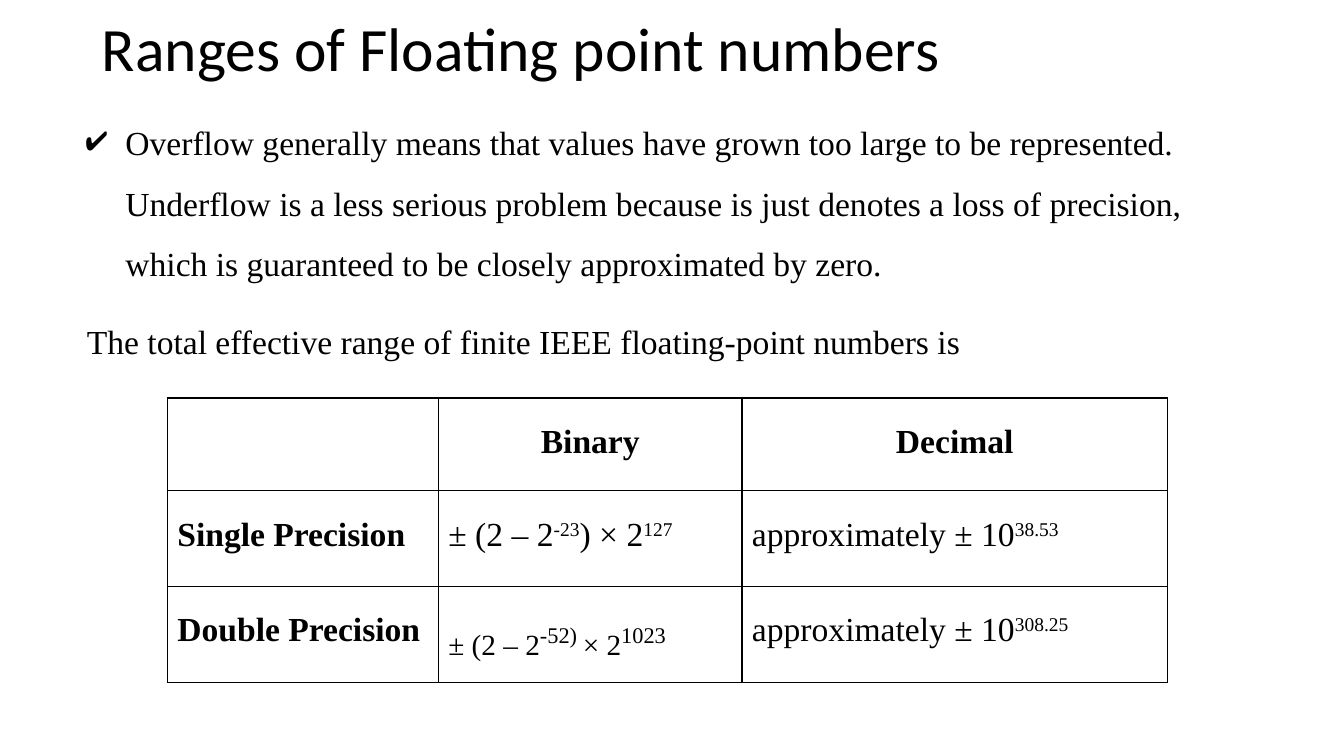
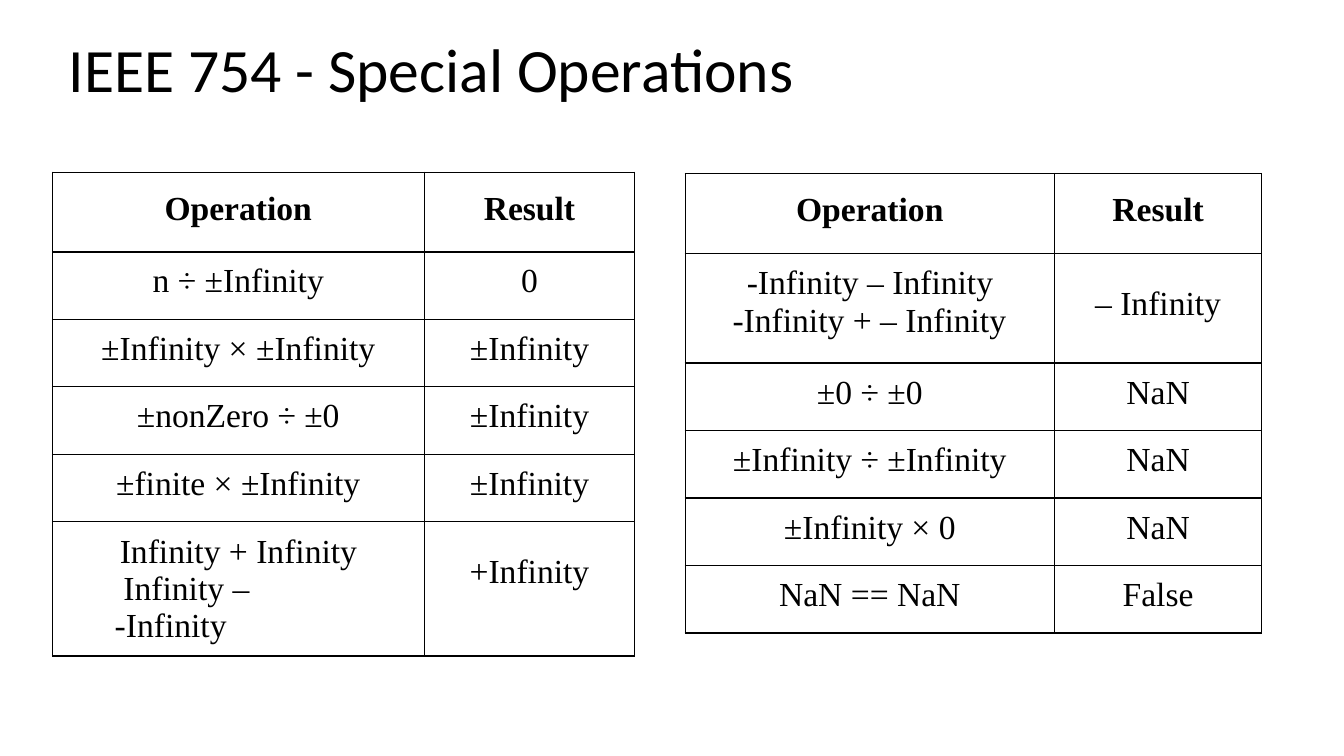
from lxml import etree
from pptx import Presentation
from pptx.dml.color import RGBColor
from pptx.enum.text import MSO_ANCHOR, PP_ALIGN
from pptx.oxml.ns import qn
from pptx.util import Cm, Pt

LEFT, CENTER = PP_ALIGN.LEFT, PP_ALIGN.CENTER
MIDDLE, TOP = MSO_ANCHOR.MIDDLE, MSO_ANCHOR.TOP
INK = {"text": "000000", "line": "000000", "paper": "FFFFFF"}
HEAD, BODY = "Calibri", "Times New Roman"
PLAIN = ((24, 0), (24, 30))
LOW = ((36, -25), (16, 0))


def style(run, size, face=BODY, bold=False, base=0):
    font = run.font
    font.size, font.name, font.bold = Pt(size), face, bold
    font.color.rgb = RGBColor.from_string(INK["text"])
    if base:
        run._r.get_or_add_rPr().set("baseline", str(base * 1000))


def indent(para, left, first=0):
    props = para._p.get_or_add_pPr()
    props.set("marL", str(Cm(left)))
    props.set("indent", str(Cm(first)))


def bullet(para, char):
    props = para._p.get_or_add_pPr()
    tint = etree.SubElement(props, qn("a:buClr"))
    etree.SubElement(tint, qn("a:srgbClr")).set("val", INK["text"])
    etree.SubElement(props, qn("a:buChar")).set("char", char)


def add_box(slide, box, anchor):
    frame = slide.shapes.add_textbox(*map(Cm, box)).text_frame
    frame.word_wrap = True
    frame.vertical_anchor = anchor
    frame.margin_left = frame.margin_right = frame.margin_bottom = 0
    frame.margin_top = Cm(0.03)
    return frame


def add_title(slide, box, text):
    frame = add_box(slide, box, MIDDLE)
    frame.text = text
    para = frame.paragraphs[0]
    indent(para, 0.03)
    style(para.runs[0], 44, HEAD)


def add_notes(slide, box, point, lead):
    frame = add_box(slide, box, TOP)
    frame.text = point + "\n" + lead
    first, last = frame.paragraphs
    first.line_spacing = 1.5
    indent(first, 1.0, -1.0)
    bullet(first, "✔")
    last.space_before = Pt(27)
    indent(last, 0.03)
    for para in frame.paragraphs:
        style(para.runs[0], 24)


def add_edges(cell):
    props = cell._tc.get_or_add_tcPr()
    for side in "LRTB":
        line = etree.SubElement(props, qn("a:ln" + side))
        line.set("w", str(Pt(1)))
        fill = etree.SubElement(line, qn("a:solidFill"))
        etree.SubElement(fill, qn("a:srgbClr")).set("val", INK["line"])


def add_grid(slide, left, top, cols, rows, count):
    size = (Cm(sum(cols)), Cm(sum(rows)))
    grid = slide.shapes.add_table(count, len(cols), Cm(left), Cm(top), *size).table
    grid.first_row = grid.horz_banding = False
    for col, width in zip(grid.columns, cols):
        col.width = Cm(width)
    for row, height in zip(grid.rows, rows):
        row.height = Cm(height)
    for cell in grid.iter_cells():
        cell.margin_left = cell.margin_right = cell.margin_bottom = 0
        add_edges(cell)
        cell.fill.solid()
        cell.fill.fore_color.rgb = RGBColor.from_string(INK["paper"])
    return grid


def fill_cell(cell, text, top, bold=False, align=CENTER, insets=None, kinds=PLAIN):
    cell.margin_top = Cm(top)
    frame = cell.text_frame
    lines = text.split("\n")
    for num, line in enumerate(lines):
        para = frame.add_paragraph() if num else frame.paragraphs[0]
        para.alignment = LEFT if insets else align
        if insets:
            indent(para, insets[num])
        for part, piece in enumerate(line.split("|")):
            if piece:
                run = para.add_run()
                run.text = piece
                size, base = kinds[part % 2]
                style(run, size, bold=bold, base=base)


def add_ranges(slide, left, top):
    rows = [
        ("", "Binary", "Decimal"),
        ("Single Precision", "± (2 – 2|-23|) × 2|127", "approximately ± 10|38.53"),
        ("Double Precision", "± (2 – 2|-52) |× 2|1023", "approximately ± 10|308.25"),
    ]
    grid = add_grid(slide, left, top, (6.83, 7.65, 10.72), (2.34, 2.41, 2.41), len(rows))
    for r, row in enumerate(rows):
        for c, text in enumerate(row):
            low = (r, c) == (2, 1)
            fill_cell(grid.cell(r, c), text, 0.3 if low else 0.64,
                      bold=r == 0 or c == 0, insets=(0.25,) if r else None,
                      kinds=LOW if low else PLAIN)


def add_results(slide, left, top, cols, pairs, tall, height, insets):
    rows = [("Operation", "Result")] + pairs
    sizes = [2.01] + [1.7] * len(pairs)
    sizes[tall] = height
    grid = add_grid(slide, left, top, cols, sizes, len(rows))
    for r, row in enumerate(rows):
        pads = (0.46, 0.46) if r == 0 else (0.3, 0.81) if r == tall else (0.28, 0.28)
        for c, text in enumerate(row):
            fill_cell(grid.cell(r, c), text, pads[c], bold=r == 0,
                      insets=insets if (r, c) == (tall, 0) else None)


def range_slide(slide):
    add_title(slide, (2.54, 0.2, 22.61, 1.93), "Ranges of Floating point numbers")
    add_ranges(slide, 4.22, 10.03)
    add_notes(
        slide, (2.16, 2.54, 27.69, 6.53),
        "Overflow generally means that values have grown too large to be represented. "
        "Underflow is a less serious problem because is just denotes a loss of precision, "
        "which is guaranteed to be closely approximated by zero.",
        "The total effective range of finite IEEE floating-point numbers is")


def special_slide(slide):
    add_title(slide, (1.7, 0.74, 20.35, 1.93), "IEEE 754 - Special Operations")
    add_results(slide, 1.32, 4.34, (9.37, 5.31), [
        ("n ÷ ±Infinity", "0"),
        ("±Infinity × ±Infinity", "±Infinity"),
        ("±nonZero ÷ ±0", "±Infinity"),
        ("±finite × ±Infinity", "±Infinity"),
        ("Infinity + Infinity\nInfinity –\n-Infinity", "+Infinity"),
    ], 5, 3.38, (1.7, 1.79, 1.57))
    add_results(slide, 17.27, 4.37, (9.3, 5.23), [
        ("-Infinity – Infinity\n-Infinity + – Infinity", "– Infinity"),
        ("±0 ÷ ±0", "NaN"),
        ("±Infinity ÷ ±Infinity", "NaN"),
        ("±Infinity × 0", "NaN"),
        ("NaN == NaN", "False"),
    ], 1, 2.77, (1.55, 1.19))


def main():
    deck = Presentation()
    deck.slide_width, deck.slide_height = Cm(33.87), Cm(19.05)
    for build in (range_slide, special_slide):
        build(deck.slides.add_slide(deck.slide_layouts[6]))
    deck.save("out.pptx")


if __name__ == "__main__":
    main()
